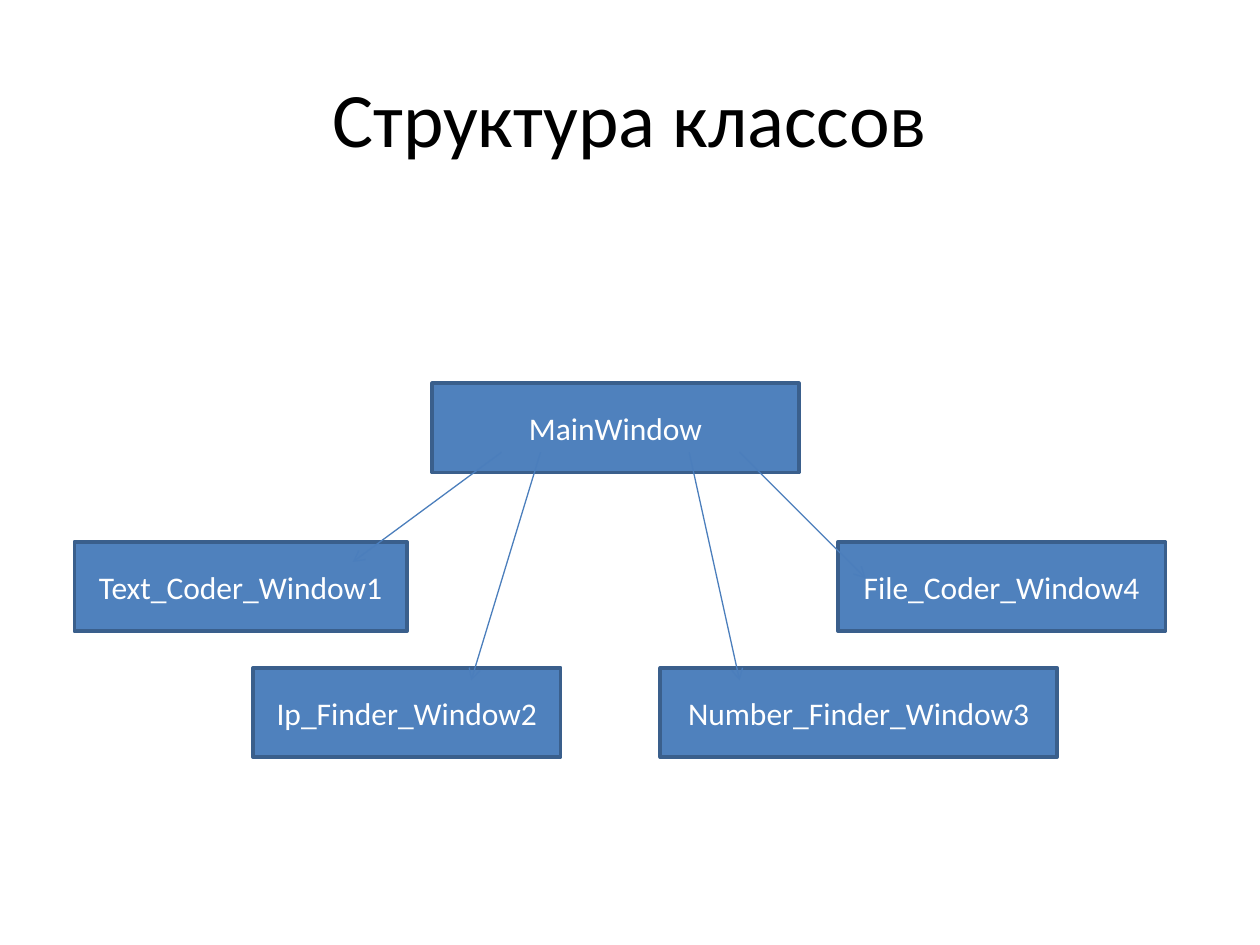
"""Builds a slide with the class structure of a windowed application."""
from dataclasses import dataclass

from lxml.etree import SubElement
from pptx import Presentation
from pptx.dml.color import RGBColor
from pptx.enum.shapes import MSO_CONNECTOR, MSO_SHAPE
from pptx.enum.text import MSO_ANCHOR, PP_ALIGN
from pptx.oxml.ns import qn
from pptx.slide import Slide
from pptx.text.text import TextFrame
from pptx.util import Inches, Length, Pt

COLORS = {"title": "000000", "box": "4F81BD", "border": "3A5F8C",
          "text": "FFFFFF", "arrow": "4B7EBC"}
FONT = "Calibri"
CELL = 0.1
COLUMNS, ROWS = 100, 75
BOX_ROWS = 7.1
MAIN_ROW, UPPER_ROW, LOWER_ROW = 30.4, 43, 53
ARROW_START_ROW = 35.9


@dataclass
class ClassBox:
    name: str
    column: float
    row: float
    columns: float


@dataclass
class Arrow:
    start_column: float
    end_column: float
    end_row: float


BOXES = [
    ClassBox("Text_Coder_Window1", 5.9, UPPER_ROW, 26.4),
    ClassBox("Ip_Finder_Window2", 20.1, LOWER_ROW, 24.4),
    ClassBox("Number_Finder_Window3", 52.4, LOWER_ROW, 31.5),
    ClassBox("File_Coder_Window4", 66.5, UPPER_ROW, 26),
    ClassBox("MainWindow", 34.3, MAIN_ROW, 29.1),
]
ARROWS = [
    Arrow(58.7, 68.7, 45.9),
    Arrow(39.8, 28, 44.6),
    Arrow(42.9, 37.4, 54),
    Arrow(54.7, 58.7, 54),
]


def cells(count: float) -> Length:
    """Convert a count of grid cells to a length."""
    return Inches(count * CELL)


def color(name: str) -> RGBColor:
    """Look up a palette colour."""
    return RGBColor.from_string(COLORS[name])


def set_text(tf: TextFrame, text: str, size: float, color_name: str) -> None:
    """Write one centred line of text."""
    tf.text = text
    tf.word_wrap = True
    tf.vertical_anchor = MSO_ANCHOR.MIDDLE
    p = tf.paragraphs[0]
    p.alignment = PP_ALIGN.CENTER
    font = p.runs[0].font
    font.name, font.size = FONT, Pt(size)
    font.color.rgb = color(color_name)


def add_title(s: Slide, text: str) -> None:
    """Place and fill the title placeholder."""
    sp = s.shapes.title
    sp.left, sp.top, sp.width, sp.height = map(cells, (5, 3, 90, 12.5))
    set_text(sp.text_frame, text, 44, "title")


def add_box(s: Slide, box: ClassBox) -> None:
    """Draw a class as a labelled rectangle."""
    sp = s.shapes.add_shape(MSO_SHAPE.RECTANGLE, cells(box.column), cells(box.row),
                            cells(box.columns), cells(BOX_ROWS))
    sp.shadow.inherit = False
    sp.fill.solid()
    sp.fill.fore_color.rgb = color("box")
    sp.line.color.rgb = color("border")
    sp.line.width = Pt(2)
    set_text(sp.text_frame, box.name, 18, "text")


def add_arrow(s: Slide, arrow: Arrow) -> None:
    """Draw an arrow from the main window to a class."""
    sp = s.shapes.add_connector(MSO_CONNECTOR.STRAIGHT,
                                cells(arrow.start_column), cells(ARROW_START_ROW),
                                cells(arrow.end_column), cells(arrow.end_row))
    sp.line.color.rgb = color("arrow")
    sp.line.width = Pt(0.75)
    SubElement(sp.line._get_or_add_ln(), qn("a:tailEnd"), type="arrow")
    SubElement(sp._element.spPr, qn("a:effectLst"))


def main() -> None:
    """Build and save the slide."""
    prs = Presentation()
    prs.slide_width, prs.slide_height = cells(COLUMNS), cells(ROWS)
    s = prs.slides.add_slide(prs.slide_layouts[5])
    add_title(s, "Структура классов")
    for box in BOXES:
        add_box(s, box)
    for arrow in ARROWS:
        add_arrow(s, arrow)
    prs.save("out.pptx")


if __name__ == "__main__":
    main()
